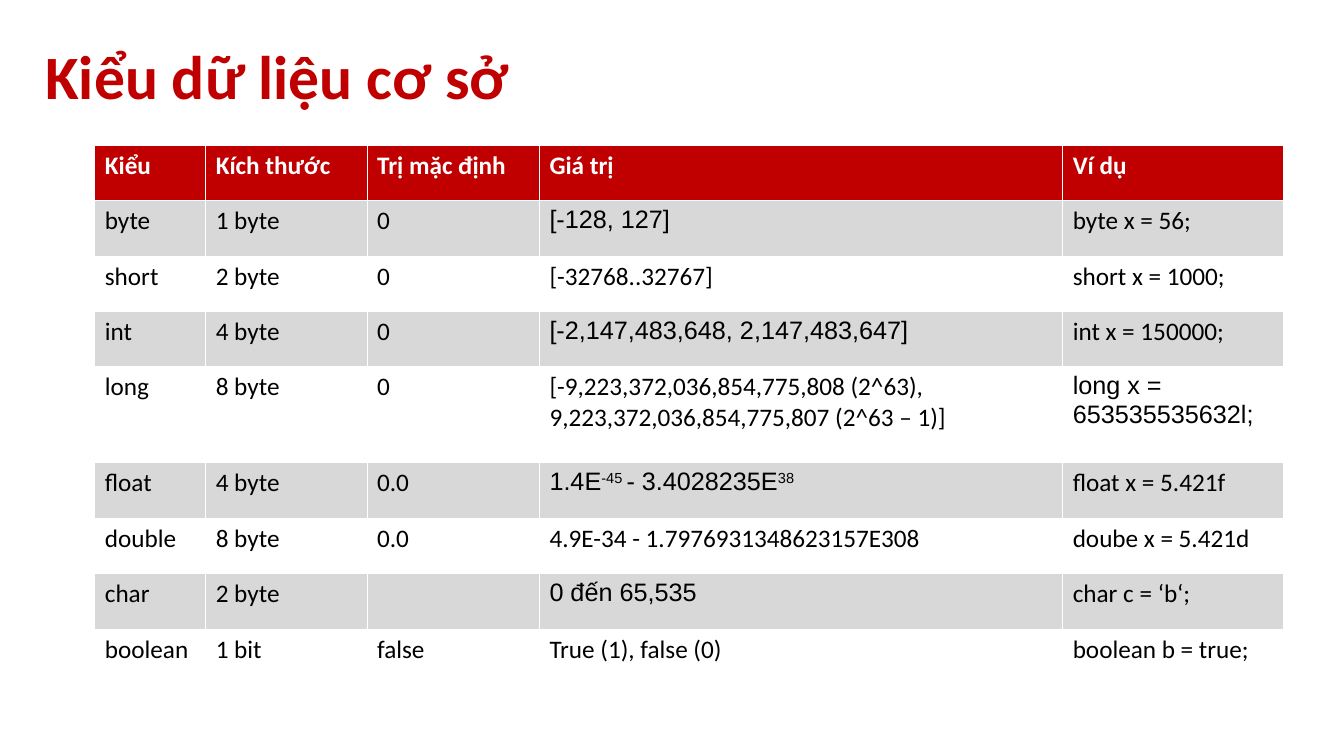
from lxml.etree import SubElement
from pptx import Presentation
from pptx.dml.color import RGBColor as RGB
from pptx.enum.text import MSO_ANCHOR as Anchor
from pptx.oxml.ns import qn
from pptx.util import Inches, Pt

COLORS = {"red": "C00000", "band": "D8D8D9", "white": "FFFFFF", "black": "000000"}

HEADER = ["Kiểu", "Kích thước", "Trị mặc định", "Giá trị", "Ví dụ"]
# A tuple alternates normal and superscript text
TYPES = [
    ["byte", "1 byte", "0", "[-128, 127]", "byte x = 56;"],
    ["short", "2 byte", "0", "[-32768..32767]", "short x = 1000;"],
    ["int", "4 byte", "0", "[-2,147,483,648, 2,147,483,647]", "int x = 150000;"],
    ["long", "8 byte", "0",
     "[-9,223,372,036,854,775,808 (2^63), 9,223,372,036,854,775,807 (2^63 – 1)]",
     "long x = 653535535632l;"],
    ["float", "4 byte", "0.0", ("1.4E", "-45 ", "- 3.4028235E", "38"), "float x = 5.421f"],
    ["double", "8 byte", "0.0", "4.9E-34 - 1.7976931348623157E308", "doube x = 5.421d"],
    ["char", "2 byte", "", "0 đến 65,535", "char c = ‘b‘;"],
    ["boolean", "1 bit", "false", "True (1), false (0)", "boolean b = true;"],
]
ARIAL_CELLS = {(1, 3), (3, 3), (4, 4), (5, 3), (7, 3)}
COLUMN_WIDTHS = [1.1, 1.6, 1.71, 5.19, 2.19]
ROW_HEIGHTS = [0.95 if row[0] == "long" else 0.55 for row in [HEADER] + TYPES]


class SlideBuilder:
    def __init__(self, slide, font="Calibri"):
        self.slide = slide
        self.font = font

    def style(self, paragraph, size, color, bold=False, font=None):
        paragraph.font.name = font or self.font
        paragraph.font.size = Pt(size)
        paragraph.font.bold = bold
        paragraph.font.color.rgb = RGB.from_string(COLORS[color])

    def title(self, text, left, top, width, height):
        frame = self.slide.shapes.add_textbox(
            Inches(left), Inches(top), Inches(width), Inches(height)).text_frame
        frame.word_wrap = True
        frame.vertical_anchor = Anchor.MIDDLE
        frame.margin_left = frame.margin_right = 0
        frame.margin_top = frame.margin_bottom = 0
        heading = frame.paragraphs[0]
        heading.text = text
        heading.line_spacing = 0.85
        self.style(heading, 44, "red", bold=True)

    def borders(self, cell):
        properties = cell._tc.get_or_add_tcPr()
        for side in ("a:lnL", "a:lnR", "a:lnT", "a:lnB"):
            line = SubElement(properties, qn(side), w=str(Pt(0.75)))
            fill = SubElement(line, qn("a:solidFill"))
            SubElement(fill, qn("a:srgbClr"), val=COLORS["white"])

    def cell(self, cell, content, fill, color, bold, font):
        self.borders(cell)
        if fill:
            cell.fill.solid()
            cell.fill.fore_color.rgb = RGB.from_string(COLORS[fill])
        else:
            cell.fill.background()
        paragraph = cell.text_frame.paragraphs[0]
        parts = content if isinstance(content, tuple) else (content,)
        for index, part in enumerate(filter(None, parts)):
            run = paragraph.add_run()
            run.text = part
            if index % 2:
                run._r.get_or_add_rPr().set("baseline", "30000")
        self.style(paragraph, 18, color, bold, font)

    def table(self, rows, left, top, widths, heights, arial_cells):
        table = self.slide.shapes.add_table(
            len(rows), len(widths), Inches(left), Inches(top),
            Inches(sum(widths)), Inches(sum(heights))).table
        table.horz_banding = False
        for column, width in zip(table.columns, widths):
            column.width = Inches(width)
        for row, height in zip(table.rows, heights):
            row.height = Inches(height)
        for r, row in enumerate(rows):
            head = r == 0
            fill = "red" if head else "band" if r % 2 else None
            for c, content in enumerate(row):
                font = "Arial" if (r, c) in arial_cells else self.font
                self.cell(table.cell(r, c), content, fill,
                          "white" if head else "black", head, font)


def main():
    deck = Presentation()
    deck.slide_width, deck.slide_height = Inches(13.33), Inches(7.5)
    builder = SlideBuilder(deck.slides.add_slide(deck.slide_layouts[6]))

    # Heading
    builder.title("Kiểu dữ liệu cơ sở", 0.45, 0.6, 12.43, 0.4)

    # Primitive types
    builder.table([HEADER] + TYPES, 0.94, 1.44, COLUMN_WIDTHS, ROW_HEIGHTS, ARIAL_CELLS)

    deck.save("out.pptx")


if __name__ == "__main__":
    main()
